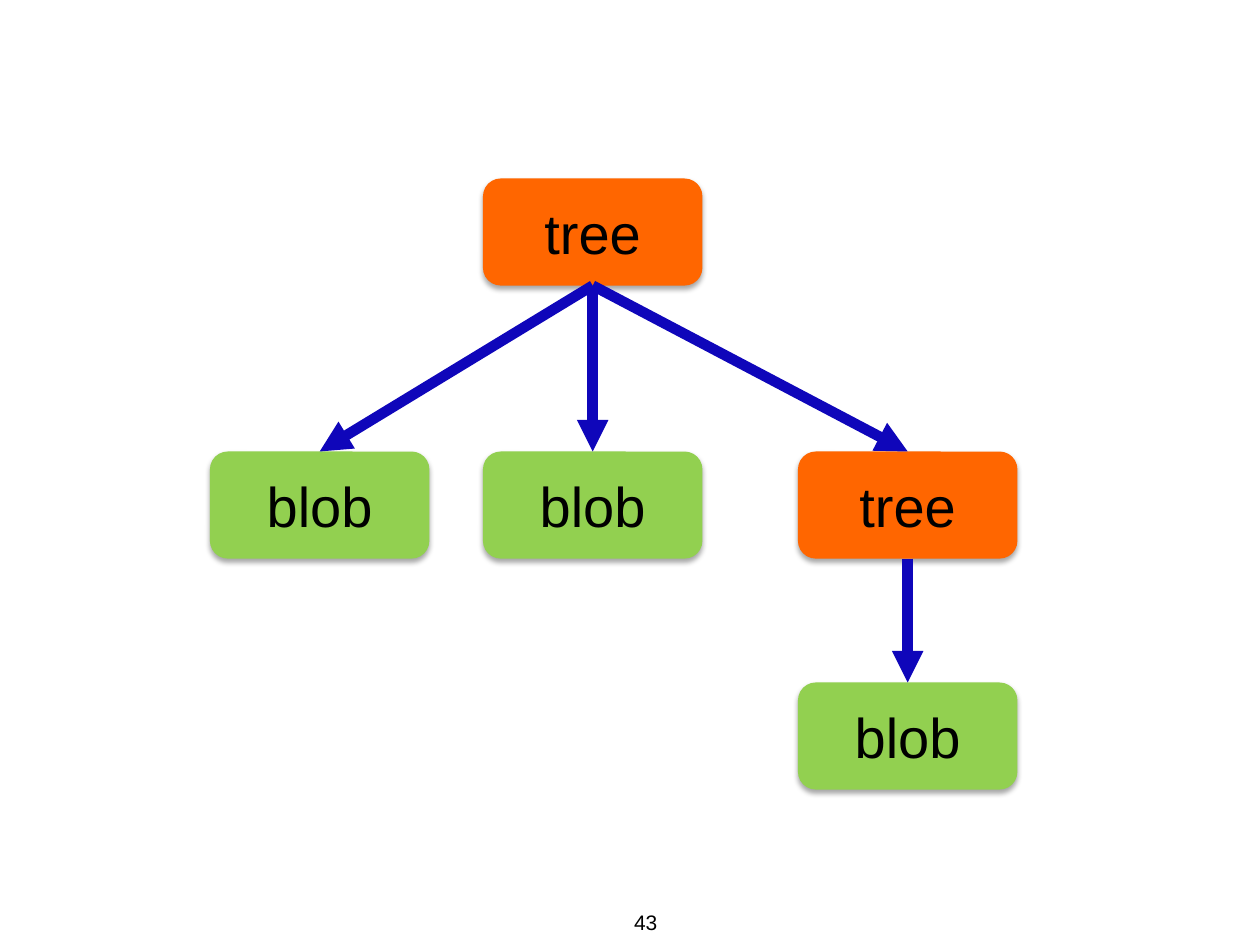
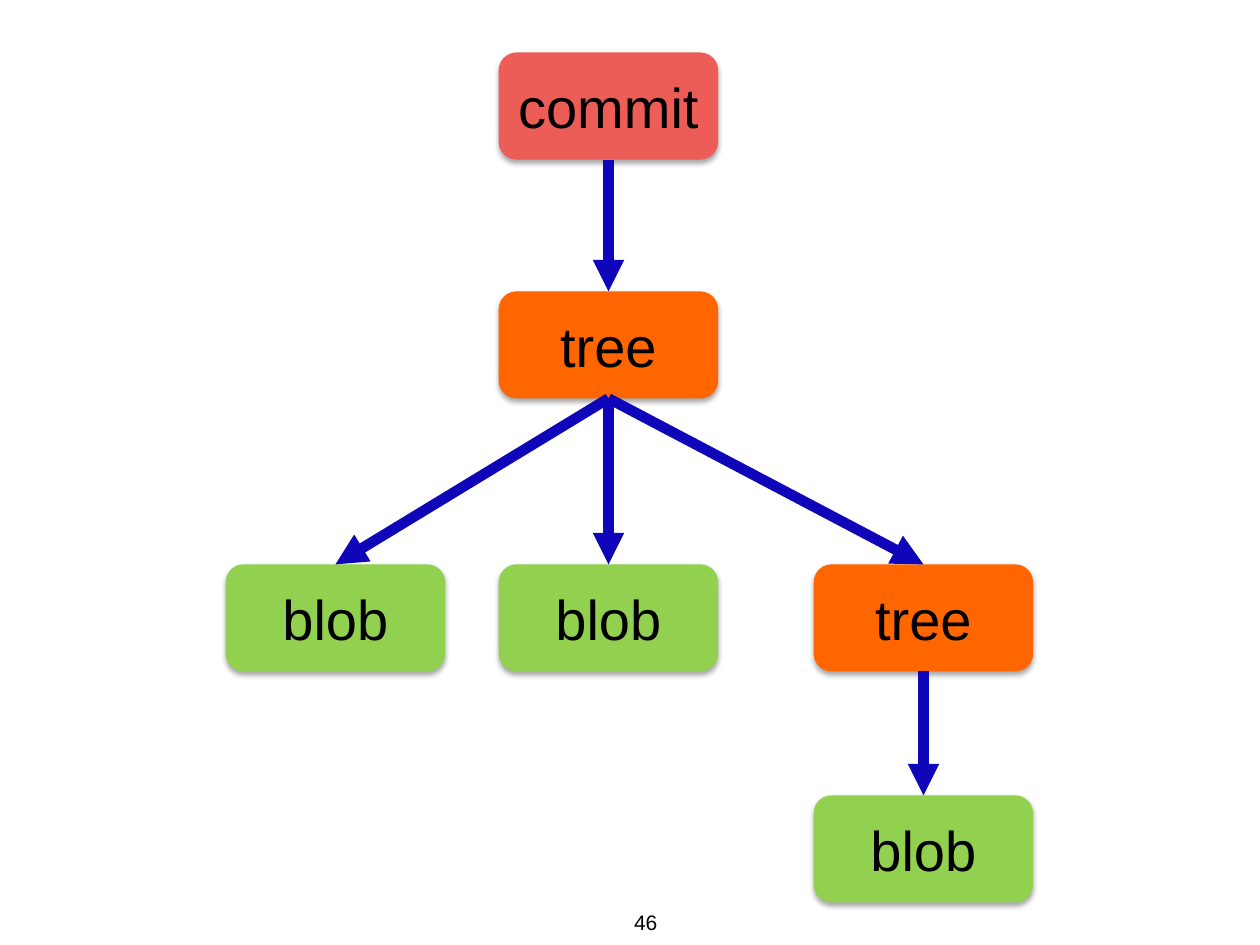
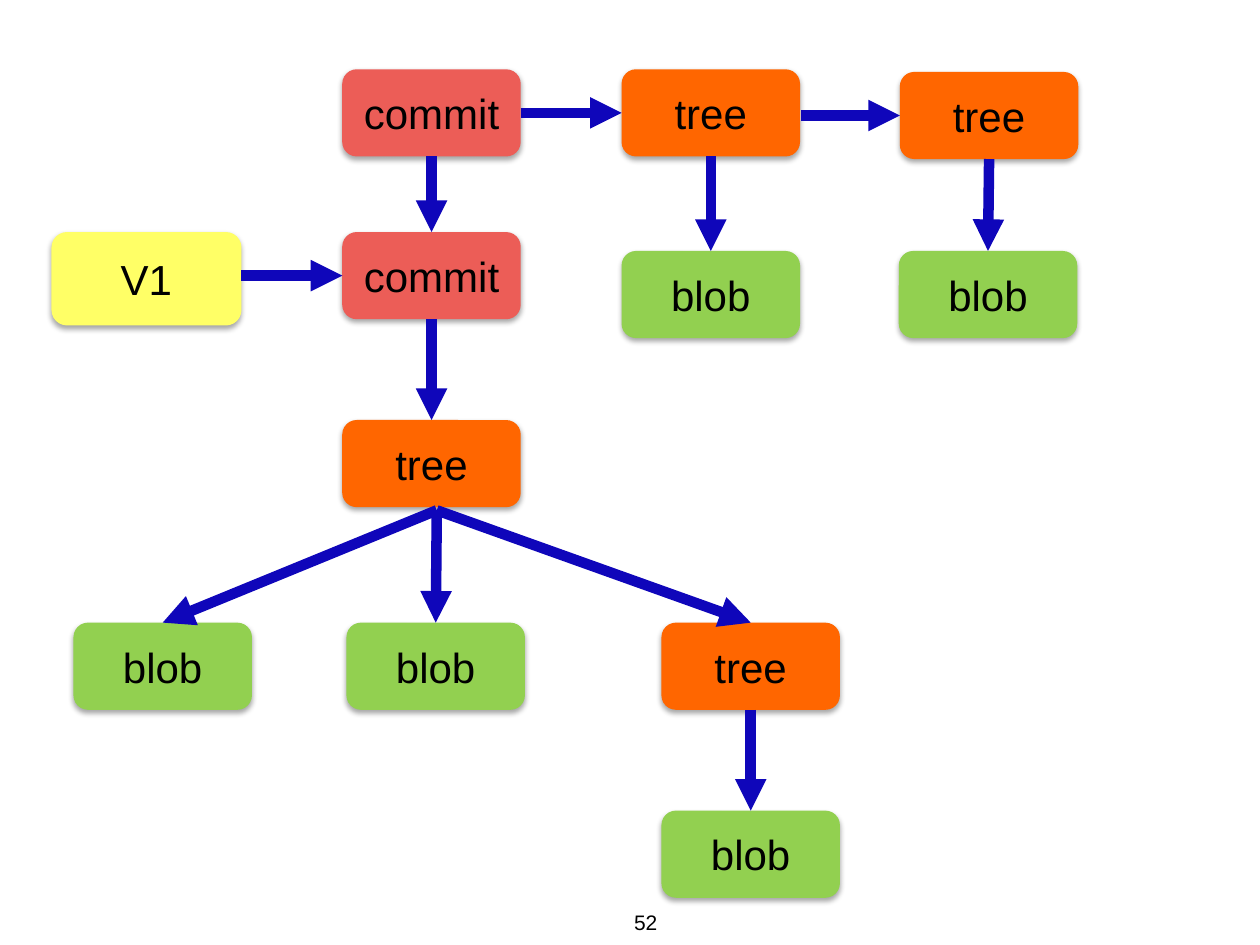
from lxml.etree import SubElement
from pptx import Presentation
from pptx.dml.color import RGBColor
from pptx.enum.shapes import MSO_CONNECTOR, MSO_SHAPE
from pptx.enum.text import MSO_ANCHOR, PP_ALIGN
from pptx.oxml.ns import qn
from pptx.util import Inches, Pt

COLS, ROWS = 120, 90
TOP, LEFT, BOTTOM, RIGHT = range(4)
FILLS = {"tree": "FF6600", "blob": "92D050", "commit": "EC5D57", "V1": "FFFF66"}
BLACK, BLUE = "000000", "0F06BA"


def color(code):
    return RGBColor.from_string(code)


class Deck:
    """Holds the shared style and the current slide; lengths are grid cells."""

    font = "Arial"

    def __init__(self):
        self.prs = Presentation()
        self.prs.slide_width, self.prs.slide_height = Inches(10), Inches(7.5)

    def cells(self, *pairs):
        """Turn column and row pairs into lengths on the slide."""
        wide = self.prs.slide_width / COLS
        high = self.prs.slide_height / ROWS
        return [round(n * unit) for x, y in pairs for n, unit in ((x, wide), (y, high))]

    def page(self, number, node, size):
        """Start a slide with its number, and set the node size and text size."""
        self.slide = self.prs.slides.add_slide(self.prs.slide_layouts[6])
        self.node_size, self.size = node, size
        box = self.slide.shapes.add_textbox(*self.cells((58, 86), (7, 5)))
        self.label(box.text_frame, str(number), 12)

    def label(self, frame, text, size):
        frame.word_wrap = True
        line = frame.paragraphs[0]
        line.alignment = PP_ALIGN.CENTER
        run = line.add_run()
        run.text = text
        run.font.name, run.font.size = self.font, Pt(size)
        run.font.color.rgb = color(BLACK)

    def node(self, text, x, y, area=None):
        shape = self.slide.shapes.add_shape(
            MSO_SHAPE.FLOWCHART_ALTERNATE_PROCESS,
            *self.cells((x, y), area or self.node_size))
        shape.fill.solid()
        shape.fill.fore_color.rgb = color(FILLS[text])
        shape.line.fill.background()
        self.shade(shape)
        frame = shape.text_frame
        frame.vertical_anchor = MSO_ANCHOR.MIDDLE
        frame.margin_left = frame.margin_right = Inches(0.05)
        self.label(frame, text, self.size)
        return shape

    def shade(self, shape):
        """Give a shape a soft shadow that falls straight down."""
        shape.shadow.inherit = False
        effects = shape._element.spPr.find(qn("a:effectLst"))
        outer = SubElement(effects, qn("a:outerShdw"), blurRad="40000",
                           dist="23000", dir="5400000", rotWithShape="0")
        tint = SubElement(outer, qn("a:srgbClr"), val=BLACK)
        SubElement(tint, qn("a:alpha"), val="35000")

    def arrow(self, start=(0, 0), end=(0, 0)):
        line = self.slide.shapes.add_connector(
            MSO_CONNECTOR.STRAIGHT, *self.cells(start, end))
        line.line.color.rgb = color(BLUE)
        line.line.width = Pt(6)
        props = line._element.spPr
        SubElement(props.find(qn("a:ln")), qn("a:tailEnd"), type="triangle")
        SubElement(props, qn("a:effectLst"))
        return line

    def link(self, first, last, out=BOTTOM, into=TOP):
        """Join two nodes with an arrow glued to their sides."""
        line = self.arrow()
        line.begin_connect(first, out)
        line.end_connect(last, into)


def family(deck, x, y):
    """Draw a tree with two blobs and a subtree; x, y is the root's corner."""
    root = deck.node("tree", x, y)
    row = y + 26
    kids = [deck.node(kind, x + step, row)
            for kind, step in (("blob", -26), ("blob", 0), ("tree", 30))]
    leaf = deck.node("blob", x + 30, row + 22)
    for kid in kids:
        deck.link(root, kid)
    deck.link(kids[-1], leaf)
    return root


def history(deck):
    """Draw two commits, the tag on the older one, and their trees."""
    root = deck.node("tree", 32.6, 40)
    row = 59.3
    kids = [(x, deck.node(kind, x, row))
            for kind, x in (("blob", 7), ("blob", 33), ("tree", 63))]
    leaf = deck.node("blob", 63, 77.2)
    for x, _ in kids:
        deck.arrow((41.6, 48.6), (x + deck.node_size[0] / 2, row))
    deck.link(kids[-1][1], leaf)

    older = deck.node("commit", 32.6, 22.1)
    newer = deck.node("commit", 32.6, 6.6)
    deck.link(older, root)
    deck.link(newer, older)

    near = deck.node("tree", 59.2, 6.6)
    far = deck.node("tree", 85.7, 6.85)
    deck.link(newer, near, RIGHT, LEFT)
    deck.arrow((76.3, 11), (85.7, 11))
    for tree, x in ((near, 59.2), (far, 85.6)):
        deck.link(tree, deck.node("blob", x, 23.9))

    deck.node("V1", 4.9, 22.1, (18.1, 8.9))
    deck.arrow((23, 26.25), (32.6, 26.25))


def main():
    deck = Deck()
    large, small = (20.9, 10.2), (17, 8.3)

    deck.page(43, large, 32)
    family(deck, 46, 17)

    deck.page(46, large, 32)
    root = family(deck, 47.5, 27.75)
    deck.link(deck.node("commit", 47.5, 5), root)

    deck.page(52, small, 24)
    history(deck)

    deck.prs.save("out.pptx")


if __name__ == "__main__":
    main()
